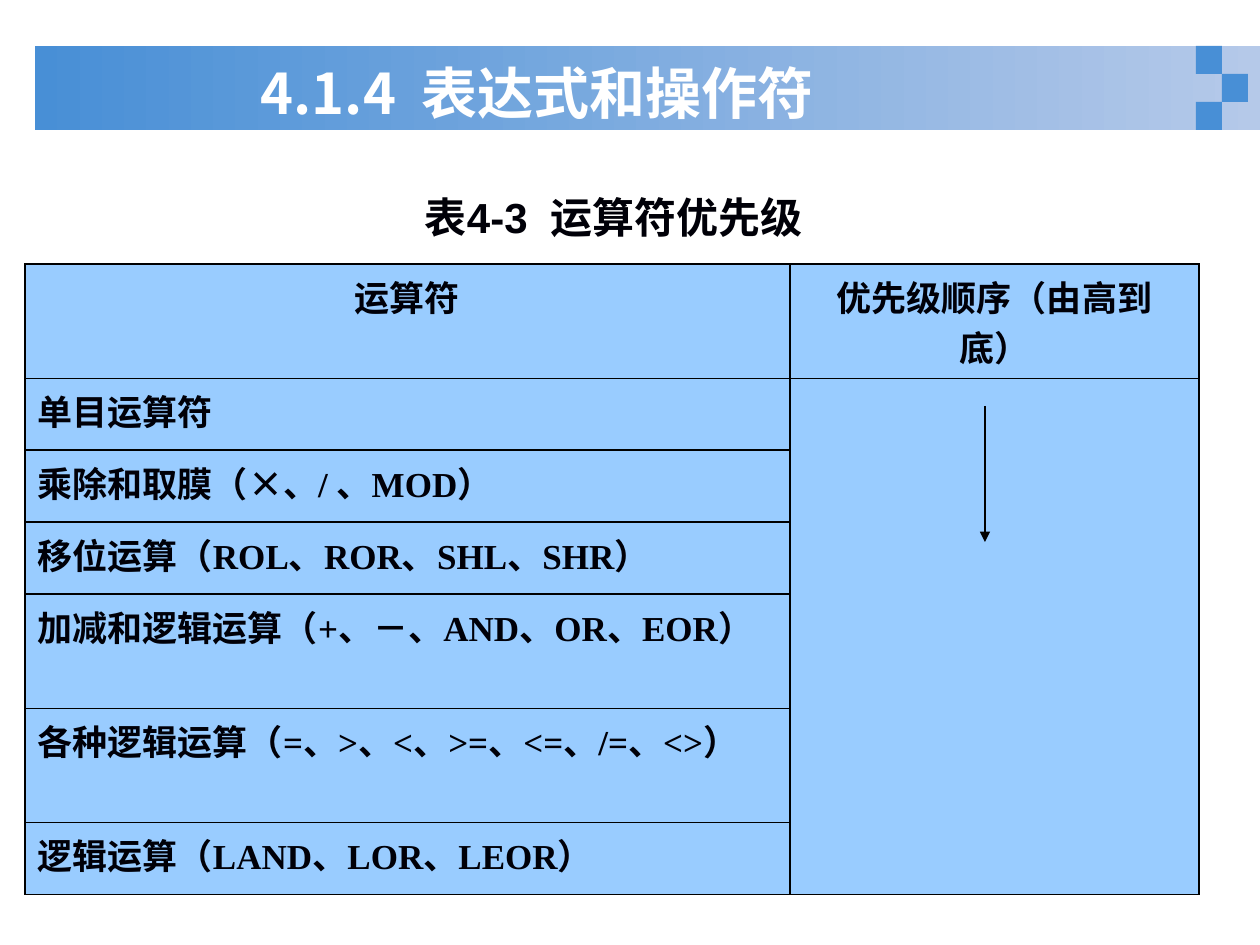
import itertools

import pptx
import pptx.dml.color
import pptx.enum.shapes
import pptx.enum.text
import pptx.oxml
import pptx.oxml.ns
import pptx.util

EMU_PER_PX = 914400 / 126
CJK_FONT = "Noto Sans CJK SC"
LATIN_FONT = "Times New Roman"
BLUE, CELL_BLUE, INK = "488FD6", "99CCFF", "000008"
CENTER = pptx.enum.text.PP_ALIGN.CENTER
MIDDLE = pptx.enum.text.MSO_ANCHOR.MIDDLE
RECTANGLE = pptx.enum.shapes.MSO_SHAPE.RECTANGLE
NS = pptx.oxml.ns.nsdecls("a")
rgb = pptx.dml.color.RGBColor.from_string


def px(*lengths):
    return [pptx.util.Emu(round(length * EMU_PER_PX)) for length in lengths]


def style_run(run, latin, size, color):
    """Make the run bold, with the CJK font for its East Asian characters."""
    run.font.name = latin
    run.font.size = pptx.util.Pt(size)
    run.font.bold = True
    run.font.color.rgb = rgb(color)
    run.font._element.find(pptx.oxml.ns.qn("a:latin")).addnext(
        pptx.oxml.parse_xml(f'<a:ea {NS} typeface="{CJK_FONT}"/>'))


presentation = pptx.Presentation()
presentation.slide_width, presentation.slide_height = px(1260, 945)
slide = presentation.slides.add_slide(presentation.slide_layouts[5])
shapes = slide.shapes

# Title band with its checkered end
band = shapes.add_shape(RECTANGLE, *px(35, 46, 1225, 84))
band.shadow.inherit = False
band.line.fill.background()
band.fill.gradient()
band.fill.gradient_angle = 0
for stop, color in zip(band.fill.gradient_stops, (BLUE, "B5C9E9")):
    stop.color.rgb = rgb(color)

for column, row in ((0, 2), (0, 0), (1, 1)):
    check = shapes.add_shape(RECTANGLE, *px(1196 + 26 * column, 46 + 28 * row, 26, 28))
    check.shadow.inherit = False
    check.line.fill.background()
    check.fill.solid()
    check.fill.fore_color.rgb = rgb(BLUE)

title = shapes.title
shapes.element.append(title.element)  # bring in front of the band
title.left, title.top, title.width, title.height = px(44, 66, 987, 116)
title.text_frame.text = "4.1.4  表达式和操作符"
title.text_frame.vertical_anchor = MIDDLE
title.text_frame.margin_top, title.text_frame.margin_bottom = px(0, 64)
title.text_frame.paragraphs[0].alignment = CENTER
style_run(title.text_frame.paragraphs[0].runs[0], CJK_FONT, 32, "FFFFFF")

# Operator table
operators = [
    "单目运算符",
    "乘除和取膜（×、/ 、MOD）",
    "移位运算（ROL、ROR、SHL、SHR）",
    "加减和逻辑运算（+、－、AND、OR、EOR）",
    "各种逻辑运算（=、>、<、>=、<=、/=、<>）",
    "逻辑运算（LAND、LOR、LEOR）",
]
row_count = len(operators) + 1
table = shapes.add_table(row_count, 2, *px(25, 264, 1174, 72 * row_count)).table
table.first_row = table.horz_banding = False
for column, width in zip(table.columns, px(765, 409)):
    column.width = width
for row in table.rows:
    row.height = px(72)[0]
table.cell(1, 1).merge(table.cell(row_count - 1, 1))

for cell in table.iter_cells():
    for side in ("lnL", "lnR", "lnT", "lnB"):
        cell._tc.get_or_add_tcPr().append(pptx.oxml.parse_xml(
            f'<a:{side} {NS} w="12700"><a:solidFill><a:srgbClr val="000000"/>'
            f'</a:solidFill></a:{side}>'))
    cell.fill.solid()
    cell.fill.fore_color.rgb = rgb(CELL_BLUE)

for column, heading in enumerate(("运算符", "优先级顺序（由高到底）")):
    paragraph = table.cell(0, column).text_frame.paragraphs[0]
    paragraph.text = heading
    paragraph.alignment = CENTER
    style_run(paragraph.runs[0], LATIN_FONT, 20, INK)

for row, operator_group in enumerate(operators, start=1):
    paragraph = table.cell(row, 0).text_frame.paragraphs[0]
    for is_latin, characters in itertools.groupby(operator_group, str.isascii):
        run = paragraph.add_run()
        run.text = "".join(characters)
        style_run(run, LATIN_FONT if is_latin else CJK_FONT, 20, INK)

# Table caption
caption = shapes.add_textbox(*px(412, 185, 404, 63)).text_frame
caption.word_wrap = True
caption.vertical_anchor = MIDDLE
caption.text = "表4-3  运算符优先级"
caption.paragraphs[0].alignment = CENTER
style_run(caption.paragraphs[0].runs[0], "Arial", 24, INK)

# Arrow from high to low priority
priority_arrow = shapes.add_connector(
    pptx.enum.shapes.MSO_CONNECTOR.STRAIGHT, *px(985, 406, 985, 542))
priority_arrow.line.color.rgb = rgb("000000")
priority_arrow.line.width = pptx.util.Pt(0.75)
priority_arrow.line._get_or_add_ln().append(
    pptx.oxml.parse_xml(f'<a:tailEnd {NS} type="triangle"/>'))
priority_arrow._element.spPr.append(pptx.oxml.parse_xml(f"<a:effectLst {NS}/>"))

presentation.save("out.pptx")
